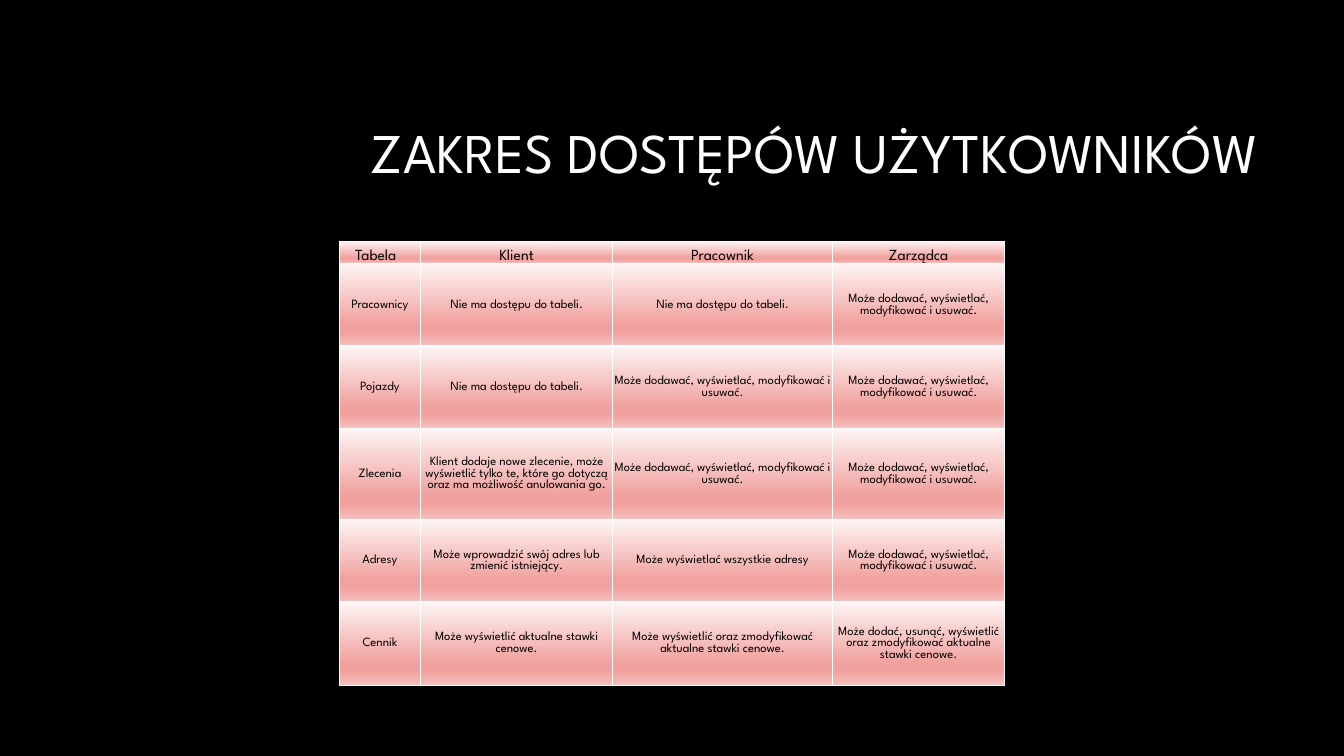
from dataclasses import dataclass

from lxml.etree import SubElement
from pptx import Presentation
from pptx.dml.color import RGBColor
from pptx.enum.text import MSO_ANCHOR as Anchor, PP_ALIGN as Align
from pptx.oxml.ns import qn
from pptx.util import Cm, Pt


@dataclass(frozen=True)
class Theme:
    font: str = "League Spartan"
    background: str = "000000"
    title_color: str = "FFFFFF"
    cell_color: str = "000000"
    border_color: str = "FFFFFF"
    gradient: tuple = ((0, "FDF5F4"), (74, "F1A19E"), (83, "F1A19E"), (100, "F5C0BE"))
    title_size: int = 40
    header_size: int = 11
    body_size: int = 9


def apply(target, values):
    for name, value in values.items():
        setattr(target, name, value)


class SlideBuilder:
    def __init__(self, deck, theme):
        self.theme = theme
        self.slide = deck.slides.add_slide(deck.slide_layouts[5])
        backdrop = self.slide.background.fill
        backdrop.solid()
        backdrop.fore_color.rgb = RGBColor.from_string(theme.background)

    def style_text(self, paragraph, size, color, align):
        paragraph.alignment = align
        apply(paragraph.font, {"name": self.theme.font, "size": Pt(size), "bold": False})
        paragraph.font.color.rgb = RGBColor.from_string(color)

    def title(self, text, left, top, width, height):
        heading = self.slide.shapes.title
        apply(heading, {"left": Cm(left), "top": Cm(top),
                        "width": Cm(width), "height": Cm(height)})
        apply(heading.text_frame, {"text": text, "word_wrap": True,
                                   "vertical_anchor": Anchor.MIDDLE})
        paragraph = heading.text_frame.paragraphs[0]
        paragraph.line_spacing = 0.9
        self.style_text(paragraph, self.theme.title_size, self.theme.title_color, Align.RIGHT)

    def paint_cell(self, cell):
        properties = cell._tc.get_or_add_tcPr()
        # Borders come before the fill in the cell properties
        for side in ("lnL", "lnR", "lnT", "lnB"):
            border = SubElement(properties, qn(f"a:{side}"), w=str(Pt(1)))
            solid = SubElement(border, qn("a:solidFill"))
            SubElement(solid, qn("a:srgbClr"), val=self.theme.border_color)
        gradient = SubElement(properties, qn("a:gradFill"), rotWithShape="1")
        stops = SubElement(gradient, qn("a:gsLst"))
        for percent, color in self.theme.gradient:
            stop = SubElement(stops, qn("a:gs"), pos=str(percent * 1000))
            SubElement(stop, qn("a:srgbClr"), val=color)
        SubElement(gradient, qn("a:lin"), ang=str(90 * 60000), scaled="0")

    def table(self, rows, left, top, widths, heights):
        grid = self.slide.shapes.add_table(
            len(rows), len(widths), Cm(left), Cm(top),
            Cm(sum(widths)), Cm(sum(heights))).table
        apply(grid, {"first_row": False, "horz_banding": False})
        for column, width in zip(grid.columns, widths):
            column.width = Cm(width)
        for row, height in zip(grid.rows, heights):
            row.height = Cm(height)
        for r, texts in enumerate(rows):
            size = self.theme.body_size if r else self.theme.header_size
            for c, text in enumerate(texts):
                corner = r == c == 0
                cell = grid.cell(r, c)
                apply(cell, {
                    "text": text,
                    "vertical_anchor": Anchor.MIDDLE if r else Anchor.BOTTOM,
                    "margin_left": Cm(0.4 if corner else 0.02),
                    "margin_right": Cm(0.02),
                    "margin_top": Cm(0.02),
                    "margin_bottom": 0,
                })
                self.style_text(cell.text_frame.paragraphs[0], size, self.theme.cell_color,
                                Align.LEFT if corner else Align.CENTER)
                self.paint_cell(cell)


NO_ACCESS = "Nie ma dostępu do tabeli."
FULL_ACCESS = "Może dodawać, wyświetlać, modyfikować i usuwać."
ACCESS_ROWS = [
    ("Tabela", "Klient", "Pracownik", "Zarządca"),
    ("Pracownicy", NO_ACCESS, NO_ACCESS, FULL_ACCESS),
    ("Pojazdy", NO_ACCESS, FULL_ACCESS, FULL_ACCESS),
    ("Zlecenia",
     "Klient dodaje nowe zlecenie, może wyświetlić tylko te, które go dotyczą "
     "oraz ma możliwość anulowania go.",
     FULL_ACCESS, FULL_ACCESS),
    ("Adresy", "Może wprowadzić swój adres lub zmienić istniejący.",
     "Może wyświetlać wszystkie adresy", FULL_ACCESS),
    ("Cennik", "Może wyświetlić aktualne stawki cenowe.",
     "Może wyświetlić oraz zmodyfikować aktualne stawki cenowe.",
     "Może dodać, usunąć, wyświetlić oraz zmodyfikować aktualne stawki cenowe."),
]


def main():
    deck = Presentation()
    apply(deck, {"slide_width": Cm(33.87), "slide_height": Cm(19.05)})
    builder = SlideBuilder(deck, Theme())

    # Heading
    builder.title("ZAKRES DOSTĘPÓW UŻYTKOWNIKÓW", 5.23, 2.13, 26.72, 3.58)

    # Access rights by table and role
    builder.table(ACCESS_ROWS, 8.55, 6.08,
                  widths=(2.05, 4.84, 5.54, 4.34),
                  heights=(0.56, 2.08, 2.07, 2.3, 2.07, 2.11))

    deck.save("out.pptx")


if __name__ == "__main__":
    main()
